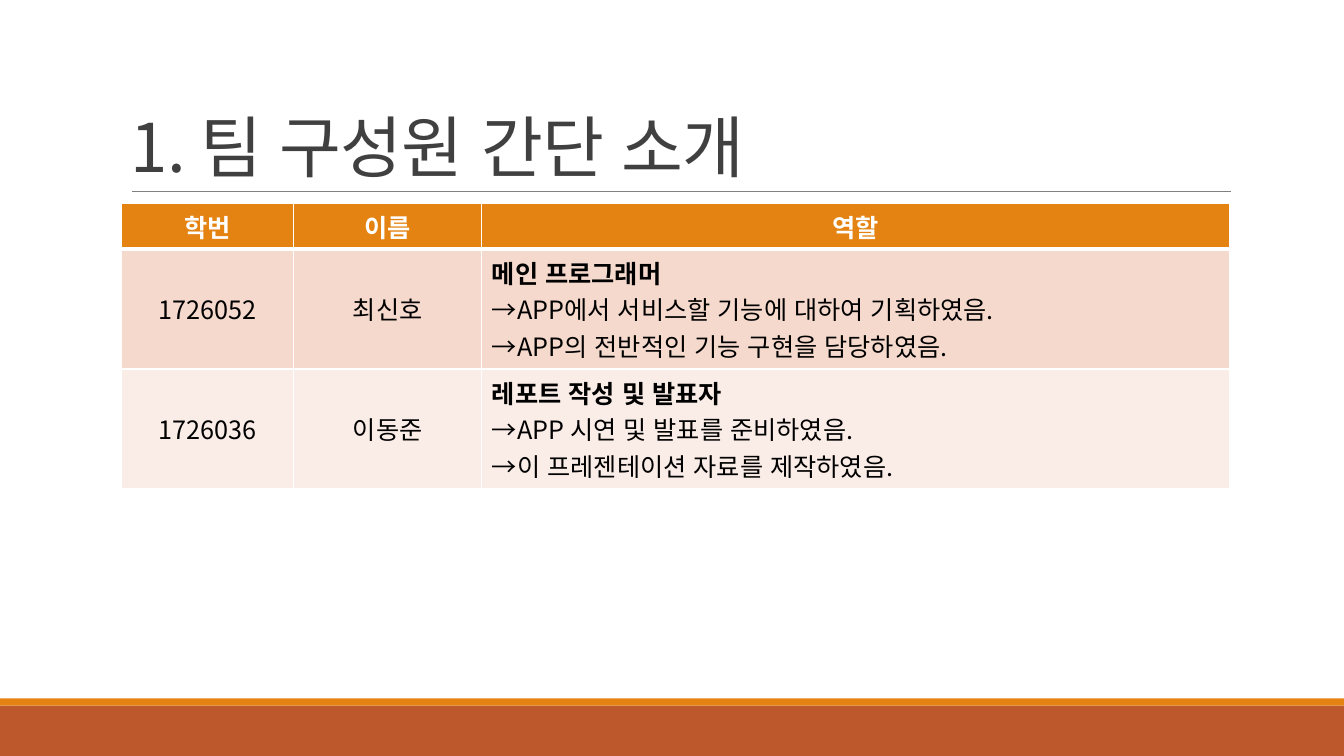
from lxml.etree import SubElement
from pptx import Presentation
from pptx.dml.color import RGBColor
from pptx.enum.lang import MSO_LANGUAGE_ID
from pptx.enum.shapes import MSO_CONNECTOR, MSO_SHAPE
from pptx.enum.text import MSO_ANCHOR, PP_ALIGN
from pptx.oxml import parse_xml
from pptx.oxml.ns import nsdecls, qn
from pptx.util import Inches, Pt

FONT = "Noto Sans CJK KR"
WHITE, BLACK, ORANGE, RUST = "FFFFFF", "000000", "E48312", "BD582C"
HEADINGS = ["학번", "이름", "역할"]
MEMBERS = [
    ("1726052", "최신호", [
        "메인 프로그래머",
        "→APP에서 서비스할 기능에 대하여 기획하였음.",
        "→APP의 전반적인 기능 구현을 담당하였음.",
    ]),
    ("1726036", "이동준", [
        "레포트 작성 및 발표자",
        "→APP 시연 및 발표를 준비하였음.",
        "→이 프레젠테이션 자료를 제작하였음.",
    ]),
]
COLUMN_WIDTHS = [1.71, 1.87, 7.42]
ROW_HEIGHTS = [0.45, 1.19, 1.19]
BODY_FILLS = ["F5D9CC", "FAEDE7"]


def color(value):
    return RGBColor.from_string(value)


def add_span(para, text, hex_color, **formats):
    span = para.add_run()
    span.text = text
    defaults = {"name": FONT, "language_id": MSO_LANGUAGE_ID.KOREAN}
    for name, value in {**defaults, **formats}.items():
        setattr(span.font, name, value)
    span.font.color.rgb = color(hex_color)
    SubElement(span.font._element, qn("a:ea"), typeface=FONT)
    return span


def add_footer(page, left, top, width, height):
    stripe = 0.07
    for band_top, band_height, fill in [(top + stripe, height - stripe, RUST),
                                        (top, stripe, ORANGE)]:
        band = page.shapes.add_shape(MSO_SHAPE.RECTANGLE, Inches(left), Inches(band_top),
                                     Inches(width), Inches(band_height))
        band.shadow.inherit = False
        band.fill.solid()
        band.fill.fore_color.rgb = color(fill)
        band.line.fill.background()


def add_title(page, left, top, width, height):
    bottom = top + height
    rule = page.shapes.add_connector(MSO_CONNECTOR.STRAIGHT, Inches(left + 0.11), Inches(bottom),
                                     Inches(left + width + 0.01), Inches(bottom))
    rule.line.color.rgb = color("808080")
    rule.line.width = Pt(0.5)
    SubElement(rule._element.spPr, qn("a:effectLst"))

    box = page.shapes.add_textbox(Inches(left), Inches(top), Inches(width), Inches(height))
    frame = box.text_frame
    frame.word_wrap = True
    frame.vertical_anchor = MSO_ANCHOR.BOTTOM
    para = frame.paragraphs[0]
    para.line_spacing = 0.85
    span = add_span(para, "1. 팀 구성원 간단 소개", "404040", size=Pt(48))
    span.font._element.set("spc", "-50")


def set_borders(cell, bottom):
    properties = cell._tc.get_or_add_tcPr()
    widths = {"lnL": 1, "lnR": 1, "lnT": 1, "lnB": bottom}
    for index, (side, width) in enumerate(widths.items()):
        properties.insert(index, parse_xml(
            f'<a:{side} {nsdecls("a")} w="{Pt(width)}"><a:solidFill>'
            f'<a:srgbClr val="{WHITE}"/></a:solidFill></a:{side}>'))


def fill_cell(cell, lines, fill, is_header, centered):
    cell.fill.solid()
    cell.fill.fore_color.rgb = color(fill)
    cell.vertical_anchor = MSO_ANCHOR.TOP if is_header else MSO_ANCHOR.MIDDLE
    set_borders(cell, 3 if is_header else 1)
    frame = cell.text_frame
    for index, line in enumerate(lines):
        para = frame.add_paragraph() if index else frame.paragraphs[0]
        para.alignment = PP_ALIGN.CENTER if centered else PP_ALIGN.LEFT
        bold = is_header or (not centered and index == 0)
        add_span(para, line, WHITE if is_header else BLACK, size=Pt(18), bold=bold)


def add_members(page, left, top, width, height):
    table = page.shapes.add_table(len(ROW_HEIGHTS), len(COLUMN_WIDTHS), Inches(left), Inches(top),
                                  Inches(width), Inches(height)).table
    for column, column_width in zip(table.columns, COLUMN_WIDTHS):
        column.width = Inches(column_width)
    for row, row_height in zip(table.rows, ROW_HEIGHTS):
        row.height = Inches(row_height)
    for index, heading in enumerate(HEADINGS):
        fill_cell(table.cell(0, index), [heading], ORANGE, True, True)
    for index, (member, fill) in enumerate(zip(MEMBERS, BODY_FILLS), 1):
        number, name, roles = member
        fill_cell(table.cell(index, 0), [number], fill, False, True)
        fill_cell(table.cell(index, 1), [name], fill, False, True)
        fill_cell(table.cell(index, 2), roles, fill, False, False)


def main():
    deck = Presentation()
    deck.slide_width, deck.slide_height = Inches(13.33), Inches(7.5)
    page = deck.slides.add_slide(deck.slide_layouts[6])
    add_footer(page, 0, 6.93, 13.33, 0.57)
    add_title(page, 1.2, 0.31, 11, 1.59)
    add_members(page, 1.2, 2.02, 11, sum(ROW_HEIGHTS))
    deck.save("out.pptx")


if __name__ == "__main__":
    main()
